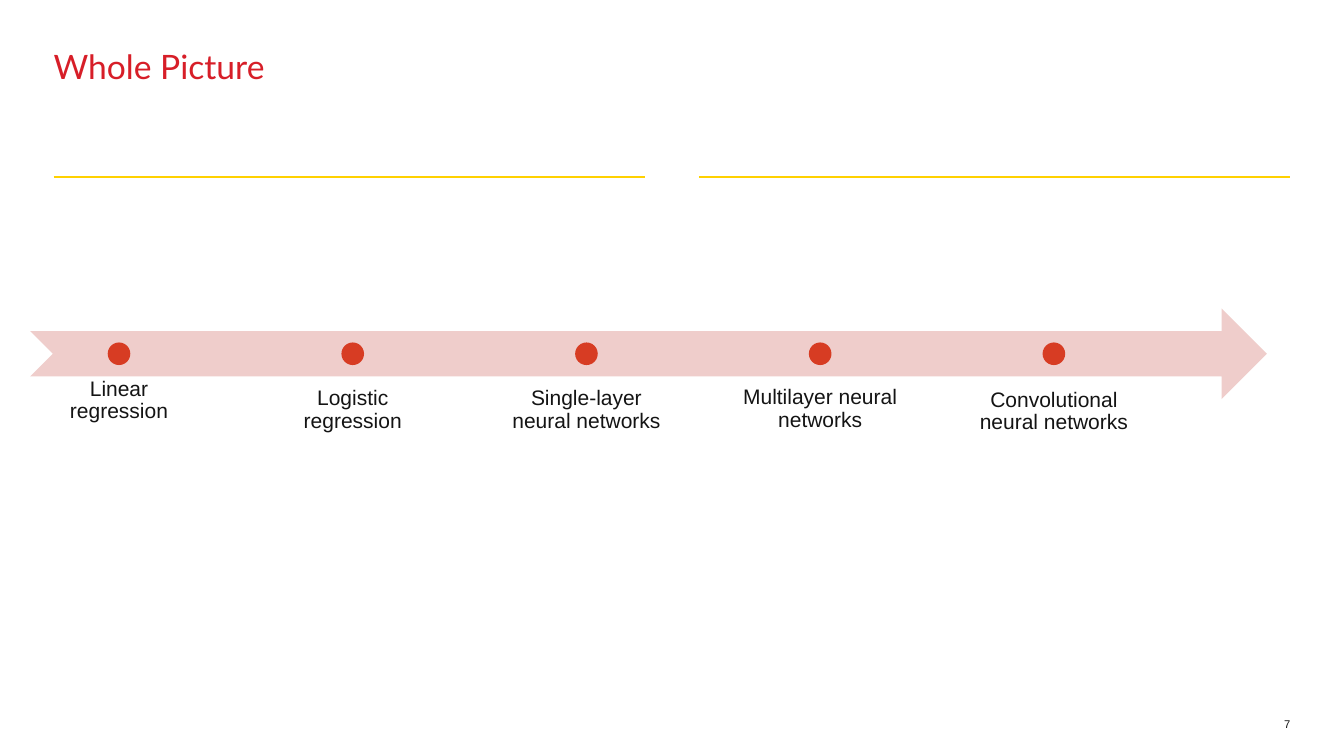
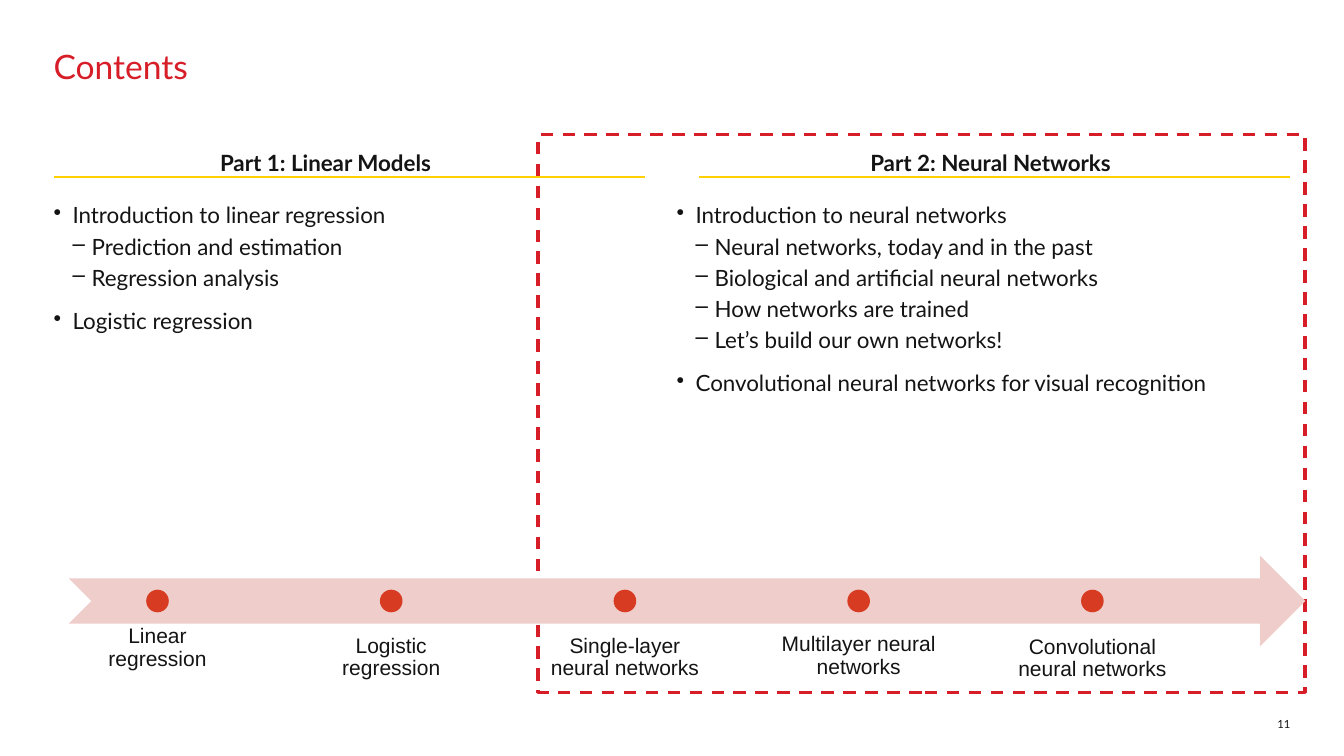
from lxml import etree
from pptx import Presentation
from pptx.dml.color import RGBColor
from pptx.enum.dml import MSO_LINE
from pptx.enum.shapes import MSO_CONNECTOR, MSO_SHAPE
from pptx.enum.text import MSO_ANCHOR, MSO_AUTO_SIZE, PP_ALIGN
from pptx.oxml.ns import qn
from pptx.util import Cm, Pt

TOP, BOTTOM = MSO_ANCHOR.TOP, MSO_ANCHOR.BOTTOM
LEFT, CENTER, RIGHT = PP_ALIGN.LEFT, PP_ALIGN.CENTER, PP_ALIGN.RIGHT

COLORS = {
    "title": "D71E28",
    "text": "141414",
    "rule": "FFD100",
    "arrow": "EFCDCB",
    "dot": "D73C23",
}

# Milestone, distance of its label below the arrow's top (cm), anchor
MILESTONES = [
    ("Linear regression", 0.91, BOTTOM),
    ("Logistic regression", 1.7, TOP),
    ("Single-layer neural networks", 1.7, TOP),
    ("Multilayer neural networks", 1.12, BOTTOM),
    ("Convolutional neural networks", 1.73, TOP),
]

PARTS = [
    {
        "heading": "Part 1: Linear Models",
        "heading_left": 3.53,
        "list_left": 1.35,
        "topics": [
            (0, "Introduction to linear regression"),
            (1, "Prediction and estimation"),
            (1, "Regression analysis"),
            (0, "Logistic regression"),
        ],
    },
    {
        "heading": "Part 2: Neural Networks",
        "heading_left": 20.29,
        "list_left": 17.05,
        "topics": [
            (0, "Introduction to neural networks"),
            (1, "Neural networks, today and in the past"),
            (1, "Biological and artificial neural networks"),
            (1, "How networks are trained"),
            (1, "Let’s build our own networks!"),
            (0, "Convolutional neural networks for visual recognition"),
        ],
    },
]

# Lengths in cm
SLIDE_SIZE = (33.87, 19.05)
MARGIN = 1.35
CONTENT_WIDTH = 31.17
RULE_WIDTH = (CONTENT_WIDTH - MARGIN) / 2
RULE_Y = 4.45
ARROW_HEIGHT = 2.29
DOT = 0.57
FIRST_DOT = 2.24
DOT_STEP = 5.89
LABEL_SIZE = (4.5, 2.29)
INDENT = 0.48
BULLETS = "•–"
SPACE_BEFORE = (12, 3)


def color(name):
    return RGBColor.from_string(COLORS[name])


def cm(*lengths):
    return [Cm(length) for length in lengths]


def style_frame(frame, size, font="Lato", fill="text", bold=False,
                align=LEFT, anchor=TOP, inset=0, spacing=None):
    frame.word_wrap = True
    frame.auto_size = MSO_AUTO_SIZE.NONE
    frame.vertical_anchor = anchor
    frame.margin_left = frame.margin_right = Cm(inset)
    frame.margin_top = frame.margin_bottom = Cm(inset)
    for paragraph in frame.paragraphs:
        paragraph.alignment = align
        if spacing:
            paragraph.line_spacing = spacing
        for run in paragraph.runs:
            run.font.name = font
            run.font.size = Pt(size)
            run.font.bold = bold
            run.font.color.rgb = color(fill)


def add_text(slide, text, box, size, **style):
    frame = slide.shapes.add_textbox(*cm(*box)).text_frame
    frame.text = text
    style_frame(frame, size, **style)


def add_filled(slide, preset, box, fill):
    shape = slide.shapes.add_shape(preset, *cm(*box))
    shape.shadow.inherit = False
    shape.fill.solid()
    shape.fill.fore_color.rgb = color(fill)
    shape.line.fill.background()


def add_base_slide(prs, title, number, number_font):
    """Add a slide with the title, the two rules and the page number."""
    slide = prs.slides.add_slide(prs.slide_layouts[5])
    for left in (MARGIN, MARGIN + RULE_WIDTH + MARGIN):
        rule = slide.shapes.add_connector(
            MSO_CONNECTOR.STRAIGHT, *cm(left, RULE_Y, left + RULE_WIDTH, RULE_Y))
        rule.line.color.rgb = color("rule")
        rule.line.width = Pt(1.5)
        etree.SubElement(rule._element.spPr, qn("a:effectLst"))
    heading = slide.shapes.title
    heading.left, heading.top, heading.width, heading.height = cm(
        MARGIN, 1.27, CONTENT_WIDTH, 2.79)
    heading.text_frame.text = title
    style_frame(heading.text_frame, 24, fill="title", spacing=0.9)
    add_text(slide, number, (31.17, 17.78, 1.35, 0.64), 8,
             font=number_font, align=RIGHT, anchor=BOTTOM)
    return slide


def add_timeline(slide, left, top):
    add_filled(slide, MSO_SHAPE.NOTCHED_RIGHT_ARROW,
               (left, top, CONTENT_WIDTH, ARROW_HEIGHT), "arrow")
    label_width, label_height = LABEL_SIZE
    for index, (milestone, drop, anchor) in enumerate(MILESTONES):
        center = left + FIRST_DOT + index * DOT_STEP
        add_text(slide, milestone,
                 (center - label_width / 2, top + drop, label_width, label_height),
                 15, font="Arial", align=CENTER, anchor=anchor,
                 inset=0.3, spacing=0.9)
        add_filled(slide, MSO_SHAPE.OVAL,
                   (center - DOT / 2, top + (ARROW_HEIGHT - DOT) / 2, DOT, DOT),
                   "dot")


def add_topics(slide, left, topics):
    frame = slide.shapes.add_textbox(*cm(left, 5.08, 15.46, 12.07)).text_frame
    frame.text = "\n".join(topic for _, topic in topics)
    for index, (paragraph, (level, _)) in enumerate(zip(frame.paragraphs, topics)):
        properties = paragraph._p.get_or_add_pPr()
        properties.set("marL", str(Cm(INDENT * (level + 1))))
        properties.set("indent", str(-Cm(INDENT)))
        etree.SubElement(properties, qn("a:buChar"), char=BULLETS[level])
        paragraph.level = level
        if index:
            paragraph.space_before = Pt(SPACE_BEFORE[level])
    style_frame(frame, 16)


def add_focus_frame(slide):
    focus = slide.shapes.add_shape(
        MSO_SHAPE.RECTANGLE, *cm(13.56, 3.4, 19.33, 14.05))
    focus.shadow.inherit = False
    focus.fill.background()
    focus.line.color.rgb = color("title")
    focus.line.width = Pt(2.25)
    focus.line.dash_style = MSO_LINE.DASH


def main():
    prs = Presentation()
    prs.slide_width, prs.slide_height = cm(*SLIDE_SIZE)

    overview = add_base_slide(prs, "Whole Picture", "7", "Arial")
    add_timeline(overview, 0.76, 7.77)

    contents = add_base_slide(prs, "Contents", "11", "Lato")
    for part in PARTS:
        add_topics(contents, part["list_left"], part["topics"])
        add_text(contents, part["heading"], (part["heading_left"], 3.76, 9.35, 0.61),
                 16, bold=True, align=CENTER)
    add_focus_frame(contents)
    add_timeline(contents, 1.73, 14)

    prs.save("out.pptx")


if __name__ == "__main__":
    main()
